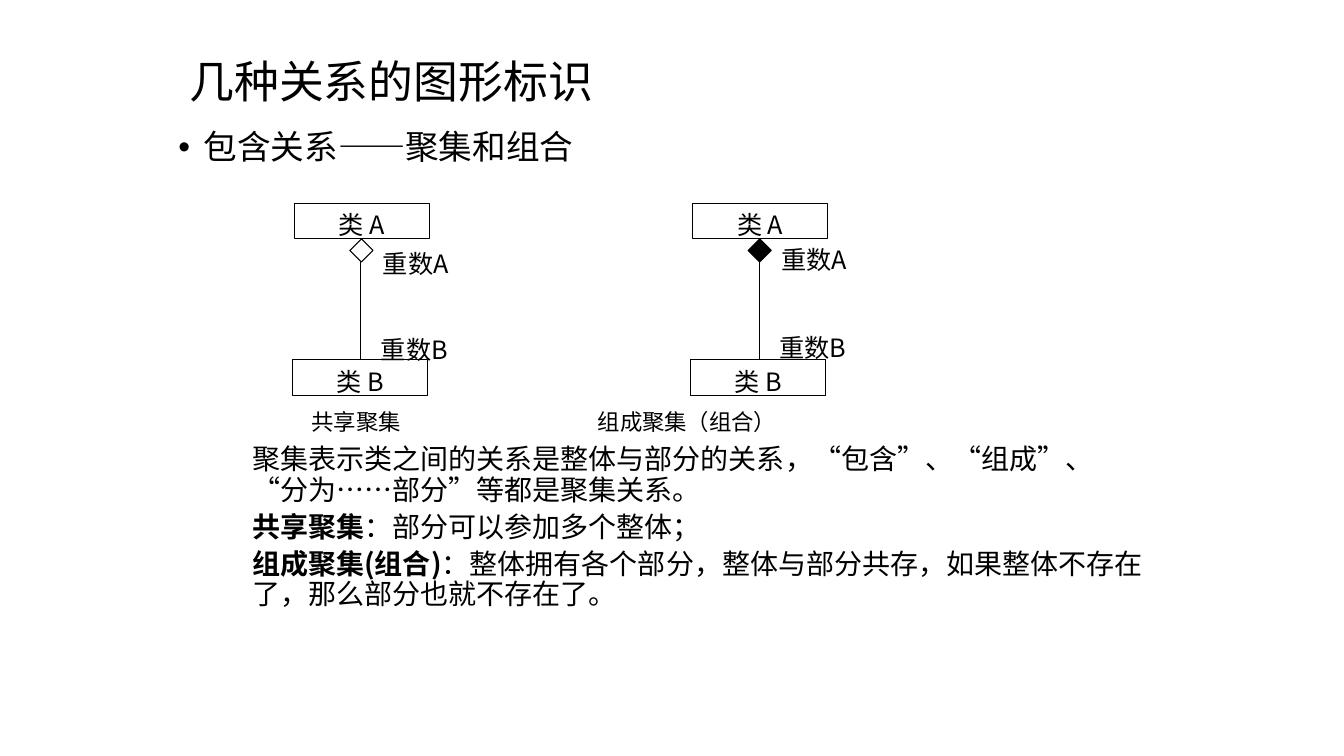
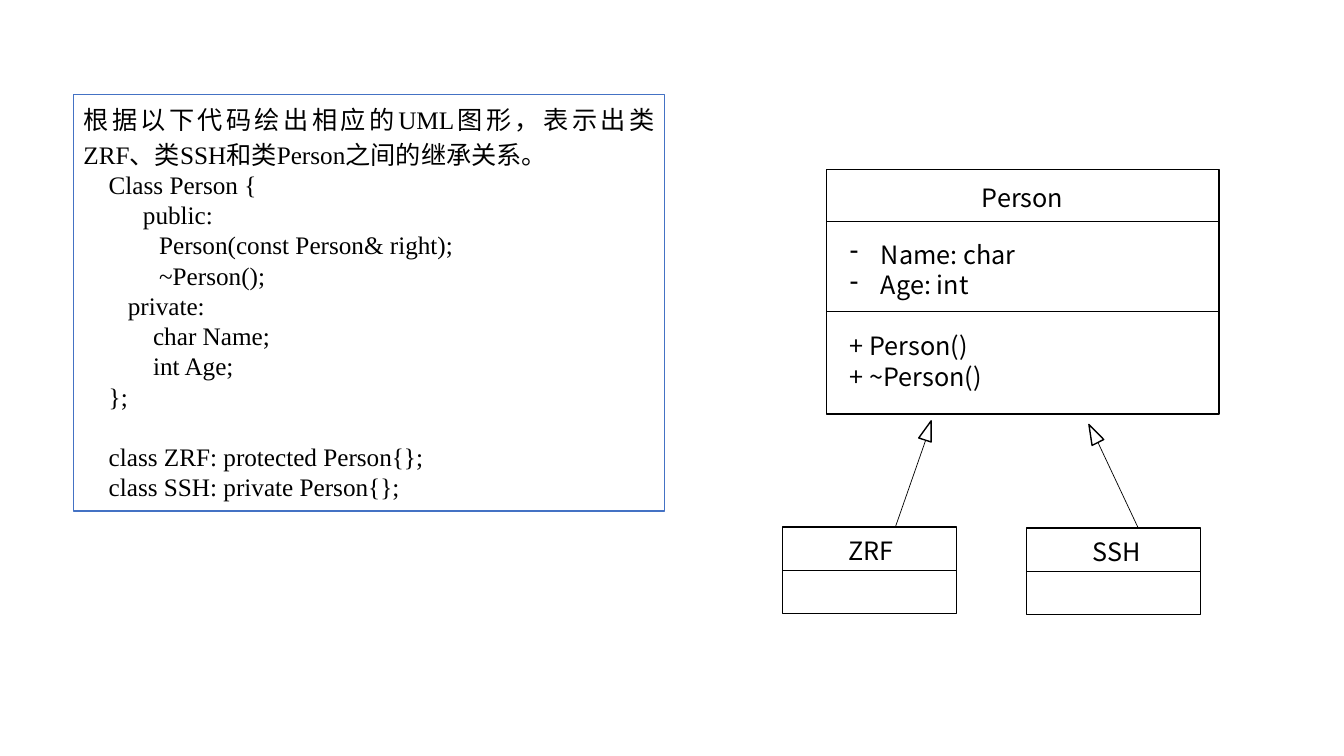
from lxml import etree
from pptx import Presentation
from pptx.dml.color import RGBColor
from pptx.enum.shapes import MSO_CONNECTOR, MSO_SHAPE
from pptx.enum.text import MSO_ANCHOR, MSO_AUTO_SIZE, PP_ALIGN
from pptx.oxml.ns import qn
from pptx.util import Inches, Pt

RECT, DIAMOND, TRIANGLE = MSO_SHAPE.RECTANGLE, MSO_SHAPE.DIAMOND, MSO_SHAPE.ISOSCELES_TRIANGLE
LEFT, CENTER, JUSTIFY = PP_ALIGN.LEFT, PP_ALIGN.CENTER, PP_ALIGN.JUSTIFY
TOP, MIDDLE = MSO_ANCHOR.TOP, MSO_ANCHOR.MIDDLE
STRAIGHT = MSO_CONNECTOR.STRAIGHT

SANS, SERIF = "Noto Sans CJK SC", "Times New Roman"
BLACK, BLUE = "000000", "4472C4"
PITCH = 1.2  # line height as a share of the text size
TIGHT = 1.08

deck = Presentation()
deck.slide_width, deck.slide_height = Inches(13.33), Inches(7.5)


def write(frame, text, size=18, font=SANS, align=LEFT, pitch=PITCH, before=0,
          margin=0, first=0, bullet=None, level=0):
    """Add one paragraph; text is a string or a list of (words, bold) spans."""
    para = frame.paragraphs[0]
    if para.runs:
        para = frame.add_paragraph()
    look = {"alignment": align, "level": level, "line_spacing": Pt(size * pitch),
            "space_before": Pt(before), "space_after": Pt(0)}
    for name, value in look.items():
        setattr(para, name, value)
    props = para._p.get_or_add_pPr()
    props.set("marL", str(Inches(margin)))
    props.set("indent", str(Inches(first)))
    if bullet:
        etree.SubElement(props, qn("a:buChar")).set("char", bullet)
    else:
        etree.SubElement(props, qn("a:buNone"))
    for words, bold in [(text, False)] if isinstance(text, str) else text:
        span = para.add_run()
        span.text = words
        for name, value in {"name": font, "size": Pt(size), "bold": bold}.items():
            setattr(span.font, name, value)
        span.font.color.rgb = RGBColor.from_string(BLACK)
        etree.SubElement(span._r.get_or_add_rPr(), qn("a:ea")).set("typeface", SANS)


def draw(page, kind, at, weight=0.75, line=BLACK, fill=None, turn=0):
    """Add an outlined shape, or a plain text box when kind is None."""
    place = [Inches(length) for length in at]
    if kind is None:
        box = page.shapes.add_textbox(*place)
    else:
        box = page.shapes.add_shape(kind, *place)
        box.shadow.inherit = False
        box.rotation = turn
        box.line.width = Pt(weight)
        box.line.color.rgb = RGBColor.from_string(line)
        if fill:
            box.fill.solid()
            box.fill.fore_color.rgb = RGBColor.from_string(fill)
        else:
            box.fill.background()
    frame = box.text_frame
    look = {"word_wrap": True, "vertical_anchor": TOP, "margin_top": Inches(0.07)}
    for name, value in look.items():
        setattr(frame, name, value)
    return box


rules = []  # (page, start, end, weight)

# Aggregation and composition
relations = deck.slides.add_slide(deck.slide_layouts[1])
title, body = relations.placeholders
for holder, at, anchor in ((title, (1.78, 0.21, 11.55, 1.17), MIDDLE),
                           (body, (1.67, 1.23, 9.8, 5.34), TOP)):
    holder.left, holder.top, holder.width, holder.height = map(Inches, at)
    holder.text_frame.vertical_anchor = anchor
    holder.text_frame.auto_size = MSO_AUTO_SIZE.NONE

write(title.text_frame, "几种关系的图形标识", size=32)
write(body.text_frame, "包含关系——聚集和组合", size=24, pitch=1.12,
      margin=0.25, first=-0.25, bullet="•")
explanations = (
    (199, "聚集表示类之间的关系是整体与部分的关系，“包含”、“组成”、“分为……部分”等都是聚集关系。"),
    (5, [("共享聚集", True), ("：部分可以参加多个整体；", False)]),
    (5, [("组成聚集(组合)", True),
         ("：整体拥有各个部分，整体与部分共存，如果整体不存在了，那么部分也就不存在了。", False)]),
)
for gap, text in explanations:
    write(body.text_frame, text, size=20, pitch=TIGHT, before=gap, margin=0.73, level=1)

CLASS_W, CLASS_H = 1.34, 0.35
diagrams = ((2.9, None, 2.39, 3.25, "共享聚集", 2.99),
            (6.85, BLACK, 2.35, 3.23, "组成聚集（组合）", 5.83))
for left, fill, whole_y, part_y, caption, caption_x in diagrams:
    for name, x, y in (("类 A", left + 0.02, 2.02), ("类 B", left, 3.57)):
        box = draw(relations, RECT, (x, y, CLASS_W, CLASS_H))
        box.text_frame.vertical_anchor = MIDDLE
        box.text_frame.margin_bottom = 0
        write(box.text_frame, name, align=CENTER)
    draw(relations, DIAMOND, (left + 0.57, 2.37, 0.23, 0.23), fill=fill)
    rules.append((relations, (left + 0.68, 2.6), (left + 0.68, 3.57), 0.75))
    for name, x, y in (("重数A", left + 0.8, whole_y), ("重数B", left + 0.78, part_y)):
        write(draw(relations, None, (x, y, CLASS_W, 0.37)).text_frame, name, align=JUSTIFY)
    write(draw(relations, None, (caption_x, 3.98, 2.2, 0.37)).text_frame, caption, size=16)

# Inheritance exercise
exercise = deck.slides.add_slide(deck.slide_layouts[6])
code = draw(exercise, RECT, (0.73, 0.94, 5.86, 4.13), line=BLUE).text_frame
code.margin_top = Inches(0.05)
write(code, "根据以下代码绘出相应的UML图形，表示出类ZRF、类SSH和类Person之间的继承关系。",
      font=SERIF, align=JUSTIFY, pitch=1.38)
code_lines = (
    ("Class Person {", 0.25, 0),
    ("public:", 0.59, 0),
    ("Person(const Person& right);", 0.75, 0),
    ("~Person();", 0.75, 0),
    ("private:", 0.44, 0),
    ("char Name;", 0.69, 0),
    ("int Age;", 0.69, 0),
    ("};", 0.25, 0),
    ("class ZRF: protected Person{};", 0.25, 18 * PITCH),
    ("class SSH: private Person{};", 0.25, 0),
)
for text, margin, gap in code_lines:
    write(code, text, font=SERIF, align=JUSTIFY, margin=margin, before=gap)

PERSON_X, PERSON_W = 8.2, 3.89
draw(exercise, RECT, (PERSON_X, 1.68, PERSON_W, 2.43), weight=1)
for y in (2.2, 3.09):
    rules.append((exercise, (PERSON_X, y), (PERSON_X + PERSON_W, y), 0.5))
members = (
    ((9.64, 1.74, 2.23, 0.4), ("Person",), {}),
    ((8.33, 2.3, 2.23, 0.71), ("Name: char", "Age: int"),
     {"margin": 0.31, "first": -0.31, "bullet": "-"}),
    ((8.33, 3.21, 3.76, 0.71), ("+ Person()", "+ ~Person()"), {}),
)
for at, lines, style in members:
    frame = draw(exercise, None, at).text_frame
    for text in lines:
        write(frame, text, **style)

SUB_W, SUB_H = 1.73, 0.86
subclasses = (("ZRF", 7.76, 5.23, (9.18, 4.37), 8.88, (9.14, 4.17), 18),
              ("SSH", 10.18, 5.24, (10.89, 4.39), 11.29, (10.78, 4.2), 333.4))
for name, x, y, neck, foot_x, tip, turn in subclasses:
    draw(exercise, RECT, (x, y, SUB_W, SUB_H), weight=1)
    write(draw(exercise, None, (x + 0.56, y + 0.01, 1.12, 0.4)).text_frame, name)
    draw(exercise, TRIANGLE, (*tip, 0.13, 0.2), weight=1, turn=turn)
    rules.append((exercise, neck, (foot_x, y), 0.5))
    rules.append((exercise, (x, y + SUB_H / 2), (x + SUB_W, y + SUB_H / 2), 0.5))

for page, start, end, weight in rules:
    rule = page.shapes.add_connector(STRAIGHT, *map(Inches, (*start, *end)))
    rule.line.width = Pt(weight)
    rule.line.color.rgb = RGBColor.from_string(BLACK)
    etree.SubElement(rule._element.spPr, qn("a:effectLst"))

deck.save("out.pptx")
